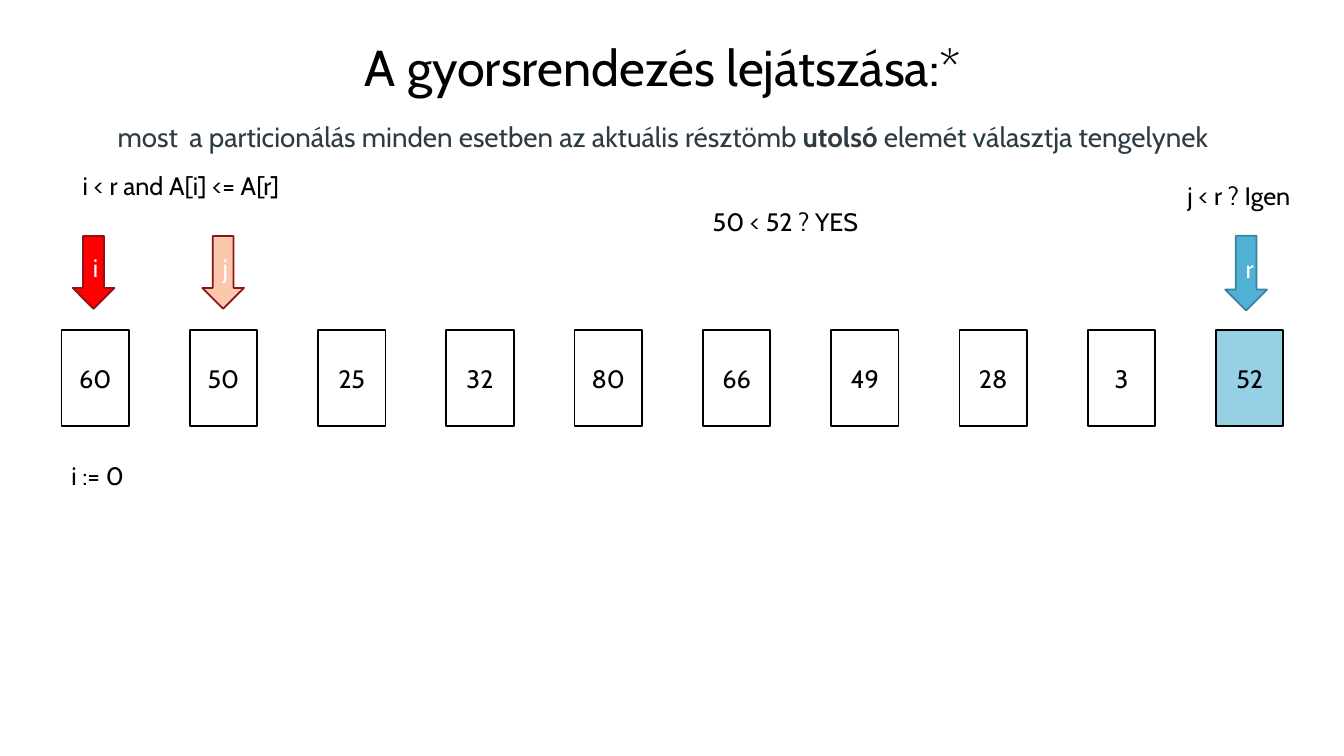
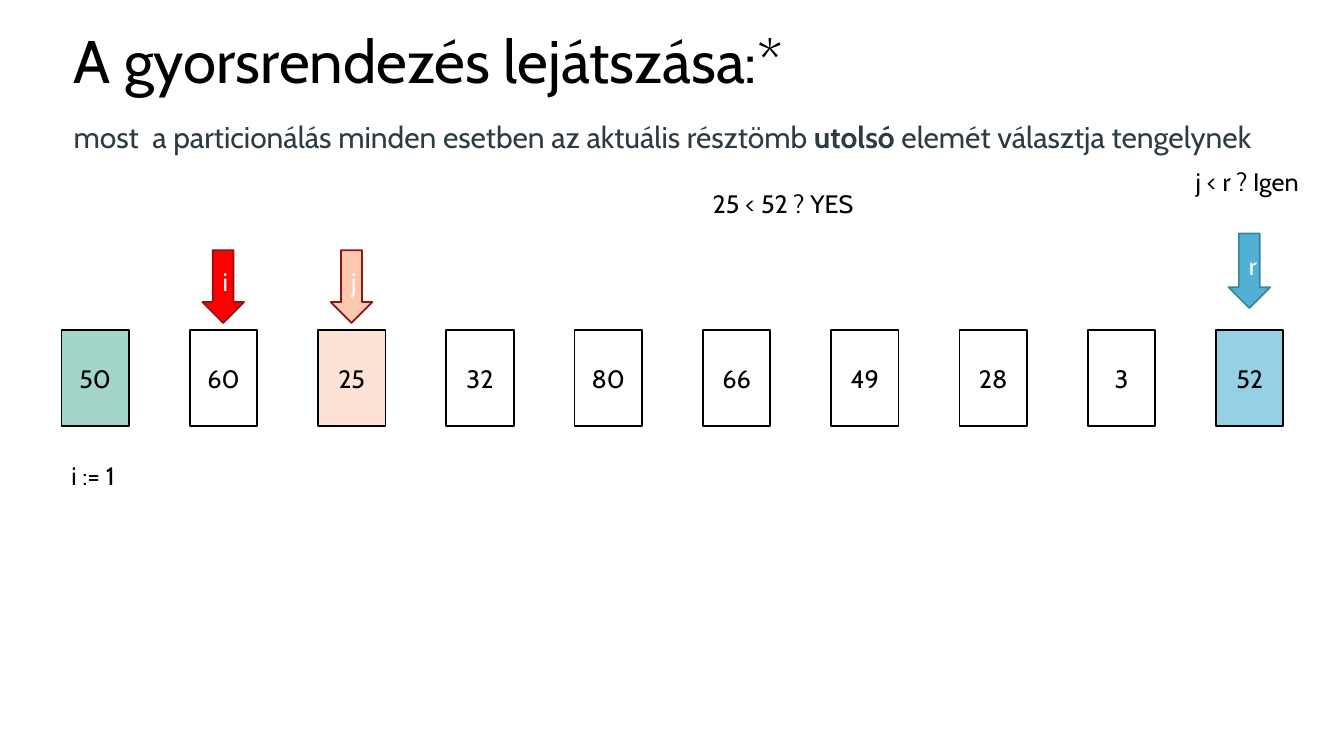
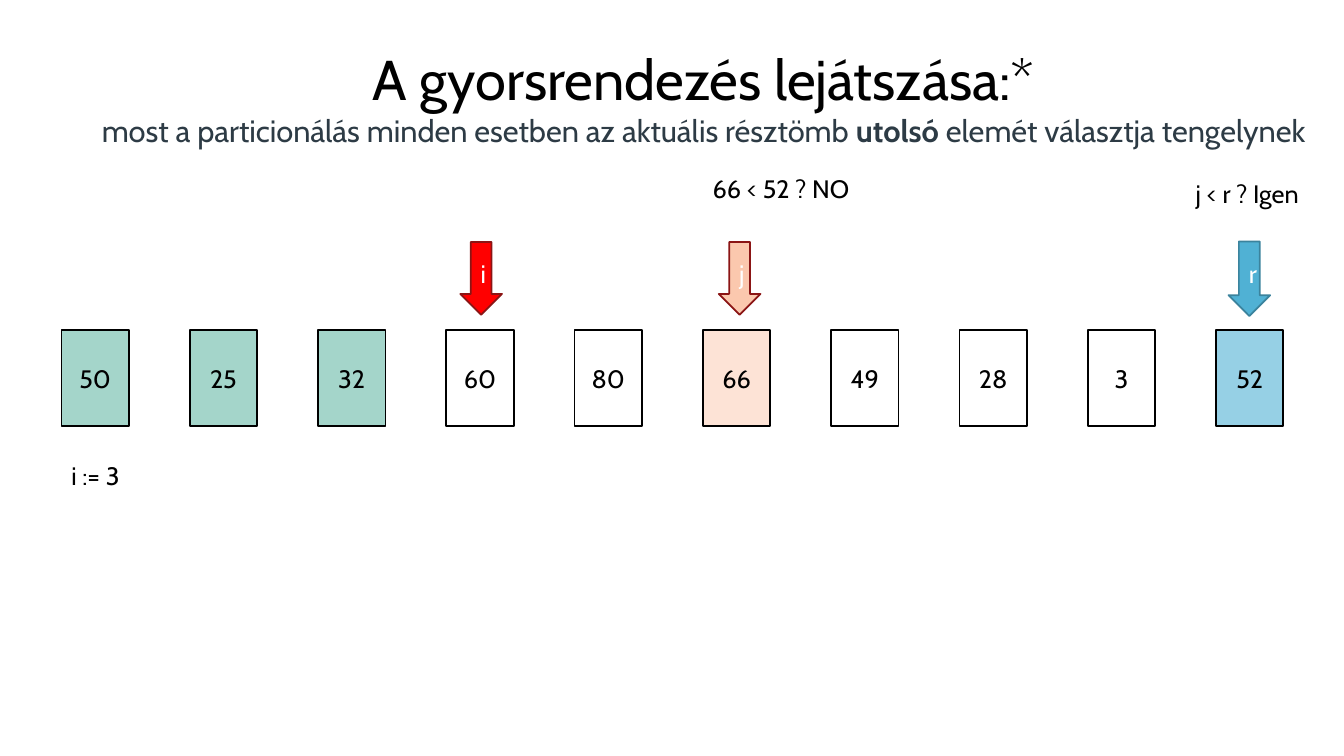
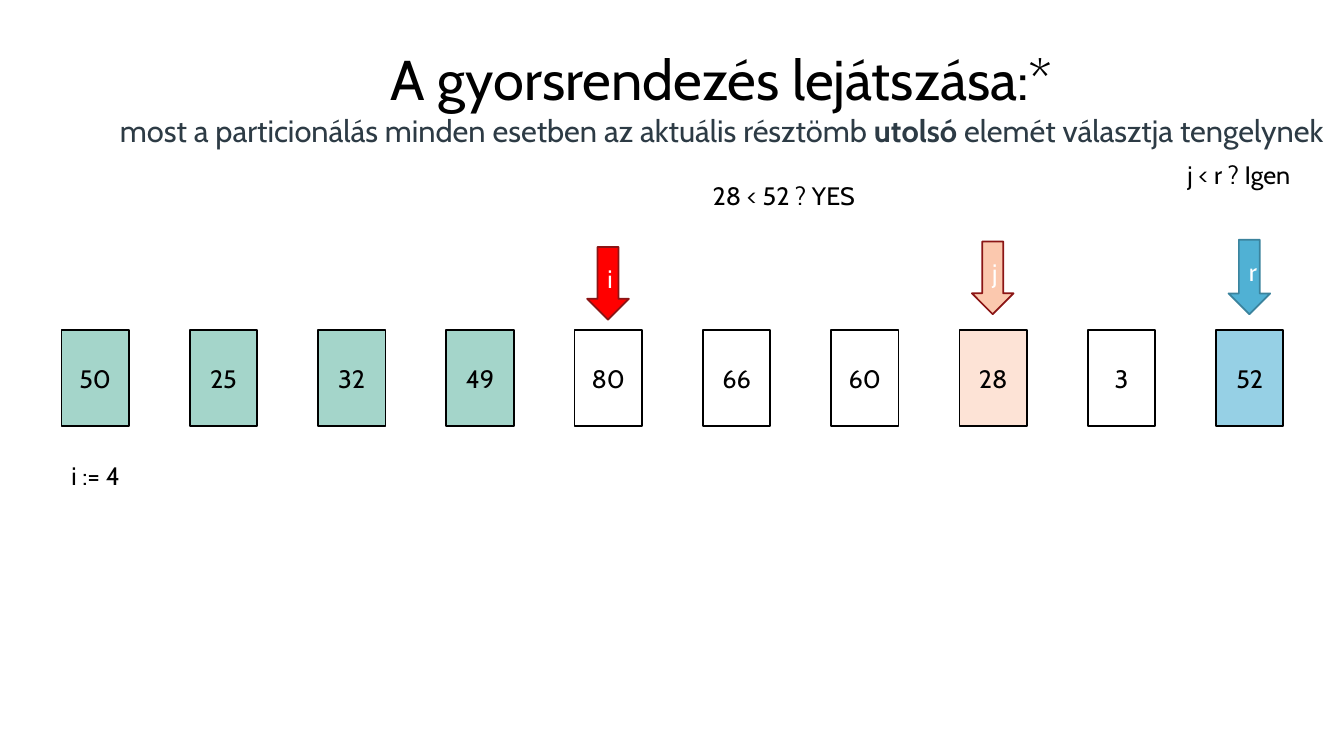
from copy import deepcopy

from pptx import Presentation
from pptx.dml.color import RGBColor
from pptx.enum.shapes import MSO_SHAPE
from pptx.enum.text import MSO_ANCHOR, MSO_AUTO_SIZE, PP_ALIGN
from pptx.util import Pt

CENTER, LEFT = PP_ALIGN.CENTER, PP_ALIGN.LEFT
RECTANGLE, DOWN_ARROW = MSO_SHAPE.RECTANGLE, MSO_SHAPE.DOWN_ARROW
TITLE_ONLY = 5

COLORS = {
    "black": "000000", "white": "FFFFFF", "slate": "2D3B45",
    "pivot": "96D0E5", "smaller": "A4D5CA", "current": "FDE3D6",
    "r": "50B1D4", "r_line": "3B839D",
    "i": "FF0000", "i_line": "8B1515",
    "j": "FBC8AE", "j_line": "8B1515",
}
TITLE_FRAME = {
    "word_wrap": True, "auto_size": MSO_AUTO_SIZE.NONE,
    "vertical_anchor": MSO_ANCHOR.MIDDLE,
}
LABEL_FRAME = {"word_wrap": True, "auto_size": MSO_AUTO_SIZE.SHAPE_TO_FIT_TEXT}

CELL_LEFT, CELL_TOP, CELL_STEP = 43.9, 235.6, 91.63
CELL_WIDTH, CELL_HEIGHT = 48.2, 69
ARROW_WIDTH = 29.8
ARROW_HEIGHTS = {"i": 52, "j": 52, "r": 53.3}

STEPS = [
    {
        "numbers": [60, 50, 25, 32, 80, 66, 49, 28, 3, 52],
        "i": 0, "current": None,
        "arrows": {"i": (51.9, 168.6), "j": (144.5, 168.6), "r": (875.2, 168.5)},
        "labels": [("50 < 52 ? YES", 502, 144, 163), ("j < r ? Igen", 841, 125.5, 104),
                   ("i < r and A[i] <= A[r]", 52, 118, 175)],
        "title": {"width": 856, "size": 36, "sub": 19.8, "gap": 36,
                  "alignment": CENTER, "line_spacing": None},
    },
    {
        "numbers": [50, 60, 25, 32, 80, 66, 49, 28, 3, 52],
        "i": 1, "current": 2,
        "arrows": {"i": (144.5, 178.7), "j": (236.2, 178.7), "r": (877.5, 166.8)},
        "labels": [("25 < 52 ? YES", 502, 131, 163), ("j < r ? Igen", 847, 115.5, 104)],
        "title": {"width": 856, "size": 42.9, "sub": 21.4, "gap": 42.9,
                  "alignment": LEFT, "line_spacing": 0.9},
    },
    {
        "numbers": [50, 25, 32, 60, 80, 66, 49, 28, 3, 52],
        "i": 3, "current": 5,
        "arrows": {"i": (328.8, 172.9), "j": (513.4, 172.9), "r": (877.5, 172.5)},
        "labels": [("66 < 52 ? NO", 502, 120.5, 163), ("j < r ? Igen", 847, 124, 104)],
        "title": {"width": 914.4, "size": 40, "sub": 22, "gap": 22,
                  "alignment": CENTER, "line_spacing": None},
    },
    {
        "numbers": [50, 25, 32, 49, 80, 66, 60, 28, 3, 52],
        "i": 4, "current": 7,
        "arrows": {"i": (419.4, 176.4), "j": (694.2, 172.5), "r": (877.5, 171.2)},
        "labels": [("28 < 52 ? YES", 502, 125.5, 163), ("j < r ? Igen", 841, 110.5, 104)],
        "title": {"width": 940.3, "size": 40, "sub": 22, "gap": 22,
                  "alignment": CENTER, "line_spacing": None},
    },
]


def add_run(paragraph, text, size, color, bold=False):
    run = paragraph.add_run()
    run.text = text
    for name, value in {"name": "Cabin", "size": Pt(size), "bold": bold}.items():
        setattr(run.font, name, value)
    run.font.color.rgb = RGBColor.from_string(COLORS[color])
    return run


def add_figure(slide, kind, box, text, fill, line, color):
    figure = slide.shapes.add_shape(kind, *map(Pt, box))
    figure.shadow.inherit = False
    figure.fill.solid()
    figure.fill.fore_color.rgb = RGBColor.from_string(COLORS[fill])
    figure.line.color.rgb = RGBColor.from_string(COLORS[line])
    figure.line.width = Pt(1.25)
    figure.text_frame.vertical_anchor = MSO_ANCHOR.MIDDLE
    paragraph = figure.text_frame.paragraphs[0]
    paragraph.alignment = CENTER
    add_run(paragraph, text, 18, color)


prs = Presentation()
prs.slide_width, prs.slide_height = Pt(960), Pt(540)

for step in STEPS:
    slide = prs.slides.add_slide(prs.slide_layouts[TITLE_ONLY])

    heading = step["title"]
    title = slide.shapes.title
    title.left, title.top = Pt(45.4), Pt(13)
    title.width, title.height = Pt(heading["width"]), Pt(112.3)
    for name, value in TITLE_FRAME.items():
        setattr(title.text_frame, name, value)
    paragraph = title.text_frame.paragraphs[0]
    for name in ("alignment", "line_spacing"):
        setattr(paragraph, name, heading[name])
    headline = add_run(paragraph, "A gyorsrendezés lejátszása:*", heading["size"], "black")
    paragraph.add_line_break()
    paragraph._p[-1].append(deepcopy(headline.font._element))
    for text, size, bold in [
        ("most", heading["sub"], False),
        (" ", heading["gap"], False),
        ("a particionálás minden esetben az aktuális résztömb ", heading["sub"], False),
        ("utolsó", heading["sub"], True),
        (" elemét választja tengelynek", heading["sub"], False),
    ]:
        add_run(paragraph, text, size, "slate", bold)

    for index, number in enumerate(step["numbers"]):
        fill = "white"
        if index == len(step["numbers"]) - 1:
            fill = "pivot"
        elif index < step["i"]:
            fill = "smaller"
        elif index == step["current"]:
            fill = "current"
        box = (CELL_LEFT + index * CELL_STEP, CELL_TOP, CELL_WIDTH, CELL_HEIGHT)
        add_figure(slide, RECTANGLE, box, str(number), fill, "black", "black")

    for pointer, (left, top) in step["arrows"].items():
        box = (left, top, ARROW_WIDTH, ARROW_HEIGHTS[pointer])
        add_figure(slide, DOWN_ARROW, box, pointer, pointer, pointer + "_line", "white")

    counter = (f"i := {step['i']}", 43.9, 325.5, 116)
    for text, left, top, width in [counter, *step["labels"]]:
        label = slide.shapes.add_textbox(Pt(left), Pt(top), Pt(width), Pt(29))
        for name, value in LABEL_FRAME.items():
            setattr(label.text_frame, name, value)
        add_run(label.text_frame.paragraphs[0], text, 18, "black")

prs.save("out.pptx")
